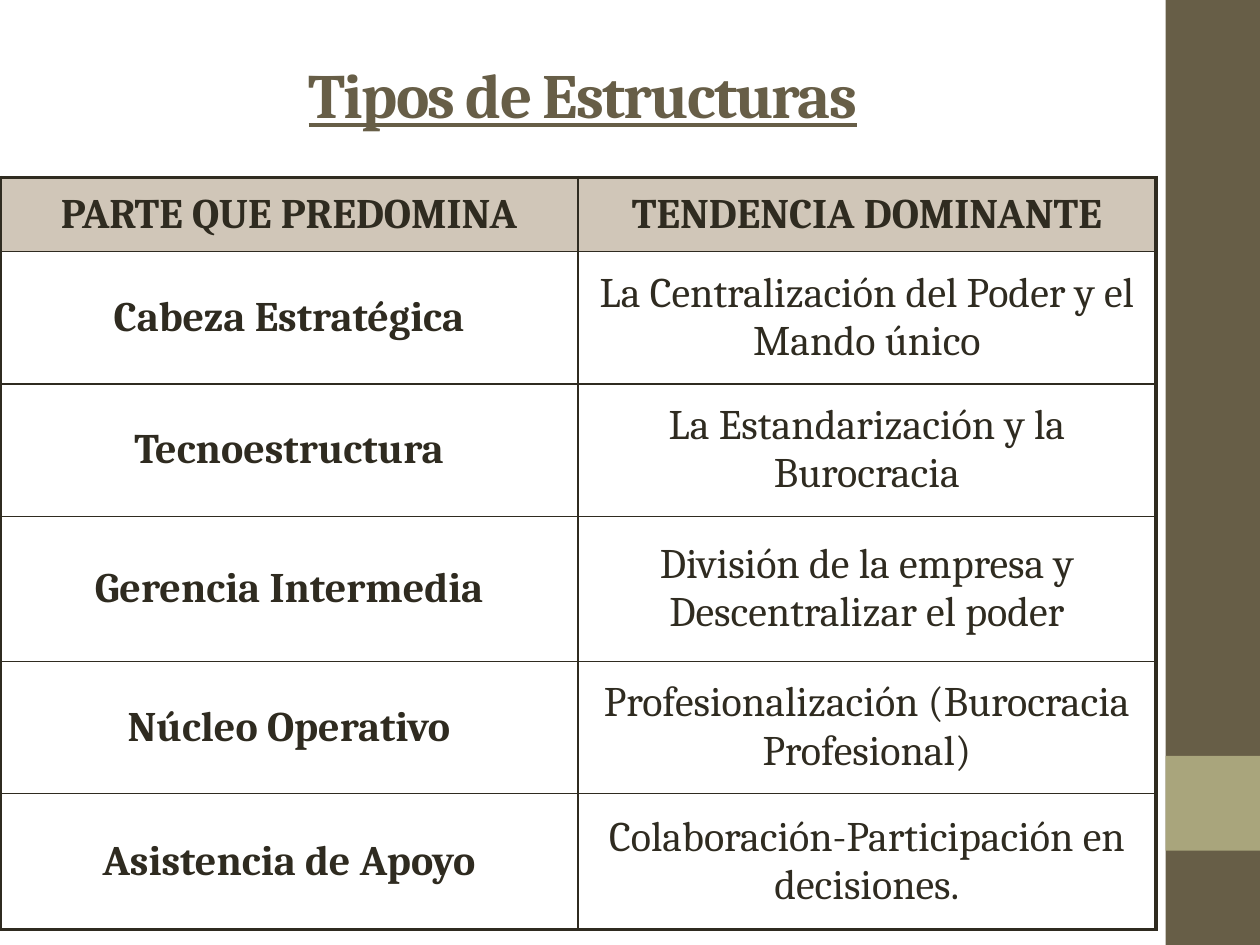
from dataclasses import dataclass

from lxml.etree import SubElement
from pptx import Presentation
from pptx.dml.color import RGBColor
from pptx.enum.shapes import MSO_SHAPE
from pptx.enum.text import MSO_ANCHOR, PP_ALIGN
from pptx.oxml import parse_xml
from pptx.oxml.ns import nsdecls, qn
from pptx.util import Cm, Pt

COLORS = {
    "olive": "675E47",
    "sage": "A9A57C",
    "ink": "2F2B20",
    "header": "D0C6B8",
}
FONT = "Cambria"
MAIN_W = 23.5
TABLE_W = 23.3
THIN, THICK = 1, 2.25


@dataclass
class Bar:
    top: float
    height: float
    color: str


@dataclass
class Row:
    area: str
    trend: str
    height: float


BARS = [Bar(0, 19.05, "olive"), Bar(15.24, 1.91, "sage")]
ROWS = [
    Row("PARTE QUE PREDOMINA", "TENDENCIA DOMINANTE", 1.49),
    Row("Cabeza Estratégica", "La Centralización del Poder y el Mando único", 2.67),
    Row("Tecnoestructura", "La Estandarización y la Burocracia", 2.67),
    Row("Gerencia Intermedia", "División de la empresa y Descentralizar el poder", 2.92),
    Row("Núcleo Operativo", "Profesionalización (Burocracia Profesional)", 2.67),
    Row("Asistencia de Apoyo", "Colaboración-Participación en decisiones.", 2.74),
]


def rgb(name: str) -> RGBColor:
    return RGBColor.from_string(COLORS[name])


def format_paragraph(p, size: float, color: str, bold: bool) -> None:
    p.alignment = PP_ALIGN.CENTER
    p.font.name = FONT
    p.font.size = Pt(size)
    p.font.bold = bold
    p.font.color.rgb = rgb(color)


def add_bar(s, bar: Bar) -> None:
    sp = s.shapes.add_shape(
        MSO_SHAPE.RECTANGLE, Cm(MAIN_W), Cm(bar.top), Cm(25.4 - MAIN_W), Cm(bar.height)
    )
    sp.shadow.inherit = False
    sp.fill.solid()
    sp.fill.fore_color.rgb = rgb(bar.color)
    sp.line.fill.background()


def add_title(s, text: str) -> None:
    sp = s.shapes.title
    sp.left, sp.top, sp.width, sp.height = Cm(0), Cm(0.64), Cm(MAIN_W), Cm(2.49)
    tf = sp.text_frame
    tf.text = text
    tf.vertical_anchor = MSO_ANCHOR.MIDDLE
    p = tf.paragraphs[0]
    format_paragraph(p, 36, "olive", True)
    p.font.underline = True
    p.runs[0].font._element.set("spc", "-100")


def set_borders(cell, widths: dict[str, float]) -> None:
    tc_pr = cell._tc.get_or_add_tcPr()
    for i, (side, width) in enumerate(widths.items()):
        ln = parse_xml(f'<a:ln{side} {nsdecls("a")} w="{Pt(width)}"/>')
        fill = SubElement(ln, qn("a:solidFill"))
        SubElement(fill, qn("a:srgbClr"), val=COLORS["ink"])
        tc_pr.insert(i, ln)


def fill_cell(cell, text: str, row: int, col: int) -> None:
    cell.text = text
    cell.vertical_anchor = MSO_ANCHOR.MIDDLE
    format_paragraph(cell.text_frame.paragraphs[0], 24, "ink", row == 0 or col == 0)
    if row == 0:
        cell.fill.solid()
        cell.fill.fore_color.rgb = rgb("header")
    else:
        cell.fill.background()
    set_borders(cell, {
        "L": THICK if col == 0 else THIN,
        "R": THICK if col == 1 else THIN,
        "T": THICK if row == 0 else THIN,
        "B": THICK if row == len(ROWS) - 1 else THIN,
    })


def add_structure_table(s) -> None:
    height = sum(row.height for row in ROWS)
    table = s.shapes.add_table(
        len(ROWS), 2, Cm(0), Cm(3.58), Cm(TABLE_W), Cm(height)
    ).table
    table.first_row = False
    table.horz_banding = False
    for i, row in enumerate(ROWS):
        table.rows[i].height = Cm(row.height)
        for j, text in enumerate((row.area, row.trend)):
            fill_cell(table.cell(i, j), text, i, j)


def main() -> None:
    prs = Presentation()
    prs.slide_width, prs.slide_height = Cm(25.4), Cm(19.05)
    s = prs.slides.add_slide(prs.slide_layouts[5])
    for bar in BARS:
        add_bar(s, bar)
    add_title(s, "Tipos de Estructuras")
    add_structure_table(s)
    prs.save("out.pptx")


if __name__ == "__main__":
    main()
